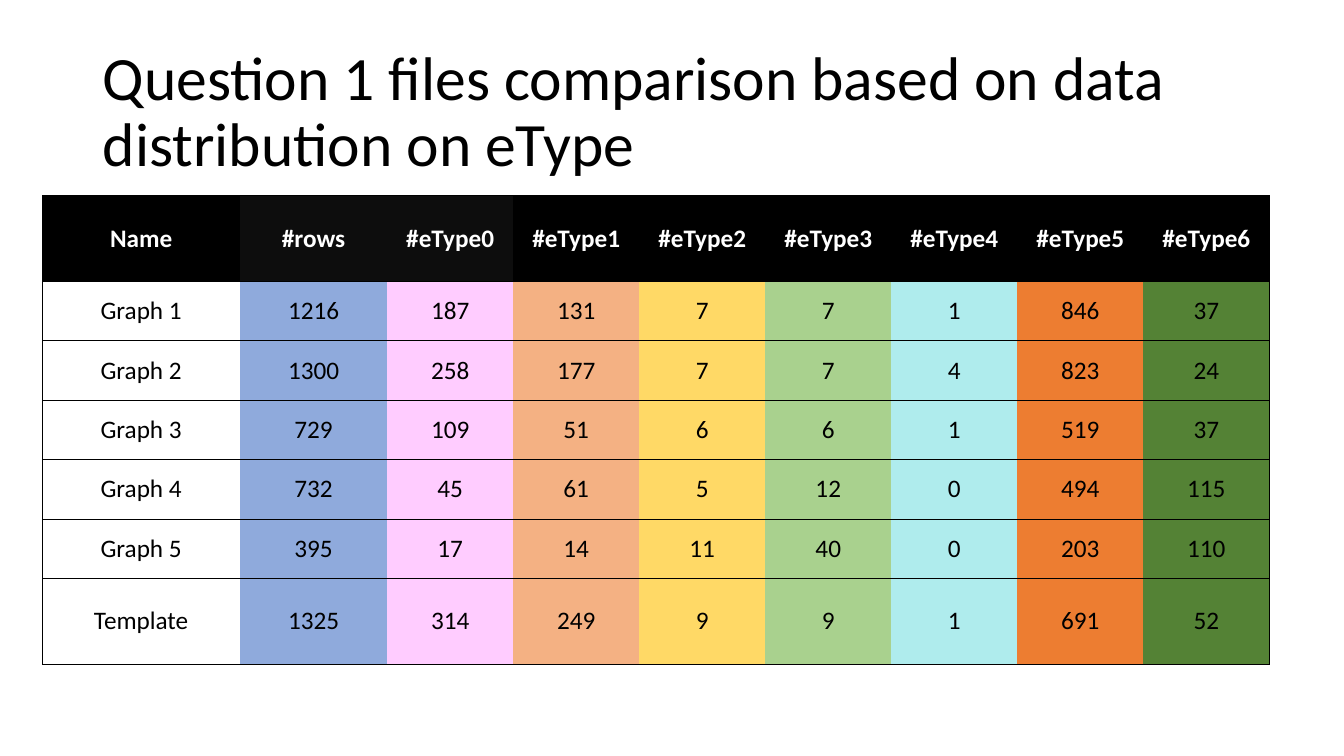
from dataclasses import dataclass
from lxml.etree import SubElement
from pptx import Presentation
from pptx.dml.color import RGBColor
from pptx.enum.text import MSO_ANCHOR, MSO_AUTO_SIZE, PP_ALIGN
from pptx.oxml.ns import qn
from pptx.slide import Slide
from pptx.table import _Cell
from pptx.util import Inches, Pt

FONT = "Calibri"
BLACK = RGBColor(0x00, 0x00, 0x00)
WHITE = RGBColor(0xFF, 0xFF, 0xFF)
DARK = RGBColor(0x0D, 0x0D, 0x0D)
BLUE = RGBColor(0x8F, 0xAA, 0xDC)
PINK = RGBColor(0xFF, 0xCC, 0xFF)
PEACH = RGBColor(0xF4, 0xB1, 0x83)
GOLD = RGBColor(0xFF, 0xD9, 0x66)
LIME = RGBColor(0xA9, 0xD1, 0x8E)
AQUA = RGBColor(0xAF, 0xEC, 0xED)
ORANGE = RGBColor(0xED, 0x7D, 0x31)
GREEN = RGBColor(0x54, 0x82, 0x35)


@dataclass
class Column:
    head: str
    values: list[str | int]
    fill: RGBColor
    width: float = 1.25
    top: RGBColor = BLACK


COLUMNS = [
    Column("Name", [f"Graph {n}" for n in range(1, 6)] + ["Template"], WHITE, 1.96),
    Column("#rows", [1216, 1300, 729, 732, 395, 1325], BLUE, 1.46, DARK),
    Column("#eType0", [187, 258, 109, 45, 17, 314], PINK, top=DARK),
    Column("#eType1", [131, 177, 51, 61, 14, 249], PEACH),
    Column("#eType2", [7, 7, 6, 5, 11, 9], GOLD),
    Column("#eType3", [7, 7, 6, 12, 40, 9], LIME),
    Column("#eType4", [1, 4, 1, 0, 0, 1], AQUA),
    Column("#eType5", [846, 823, 519, 494, 203, 691], ORANGE),
    Column("#eType6", [37, 24, 37, 115, 110, 52], GREEN),
]
HEIGHTS = [0.85] + [0.59] * 5 + [0.85]


def add_title(slide: Slide, text: str) -> None:
    title = slide.shapes.title
    title.left, title.top = Inches(0.92), Inches(0.4)
    title.width, title.height = Inches(11.5), Inches(1.45)
    frame = title.text_frame
    frame.text = text
    frame.word_wrap = True
    frame.auto_size = MSO_AUTO_SIZE.NONE
    frame.vertical_anchor = MSO_ANCHOR.MIDDLE
    para = frame.paragraphs[0]
    para.alignment = PP_ALIGN.LEFT
    para.line_spacing = 0.9
    font = para.runs[0].font
    font.name, font.size = FONT, Pt(44)
    font.color.rgb = BLACK


def set_borders(cell: _Cell, left: bool, right: bool) -> None:
    props = cell._tc.get_or_add_tcPr()
    for side, shown in (("L", left), ("R", right), ("T", True), ("B", True)):
        line = SubElement(props, qn(f"a:ln{side}"), w=str(Pt(0.5)))
        if shown:
            solid = SubElement(line, qn("a:solidFill"))
            SubElement(solid, qn("a:srgbClr"), val=str(BLACK))
        else:
            SubElement(line, qn("a:noFill"))


def fill_cell(cell: _Cell, text: str, fill: RGBColor, ink: RGBColor, bold: bool) -> None:
    cell.text_frame.text = text
    cell.vertical_anchor = MSO_ANCHOR.MIDDLE
    cell.fill.solid()
    cell.fill.fore_color.rgb = fill
    para = cell.text_frame.paragraphs[0]
    para.alignment = PP_ALIGN.CENTER
    font = para.runs[0].font
    font.name, font.size, font.bold = FONT, Pt(18), bold
    font.color.rgb = ink


def add_grid(slide: Slide) -> None:
    width = sum(col.width for col in COLUMNS)
    frame = slide.shapes.add_table(
        len(HEIGHTS), len(COLUMNS),
        Inches(0.42), Inches(1.94), Inches(width), Inches(sum(HEIGHTS)),
    )
    table = frame.table
    table.horz_banding = False
    for row, height in zip(table.rows, HEIGHTS):
        row.height = Inches(height)
    last = len(COLUMNS) - 1
    for c, col in enumerate(COLUMNS):
        table.columns[c].width = Inches(col.width)
        for r, value in enumerate([col.head, *col.values]):
            cell = table.cell(r, c)
            set_borders(cell, c == 0, c == last)
            head = r == 0
            fill, ink = (col.top, WHITE) if head else (col.fill, BLACK)
            fill_cell(cell, str(value), fill, ink, head)


def main() -> None:
    deck = Presentation()
    deck.slide_width, deck.slide_height = Inches(13.33), Inches(7.5)
    slide = deck.slides.add_slide(deck.slide_layouts.get_by_name("Title Only"))
    add_title(slide, "Question 1 files comparison based on data distribution on eType")
    add_grid(slide)
    deck.save("out.pptx")


if __name__ == "__main__":
    main()
